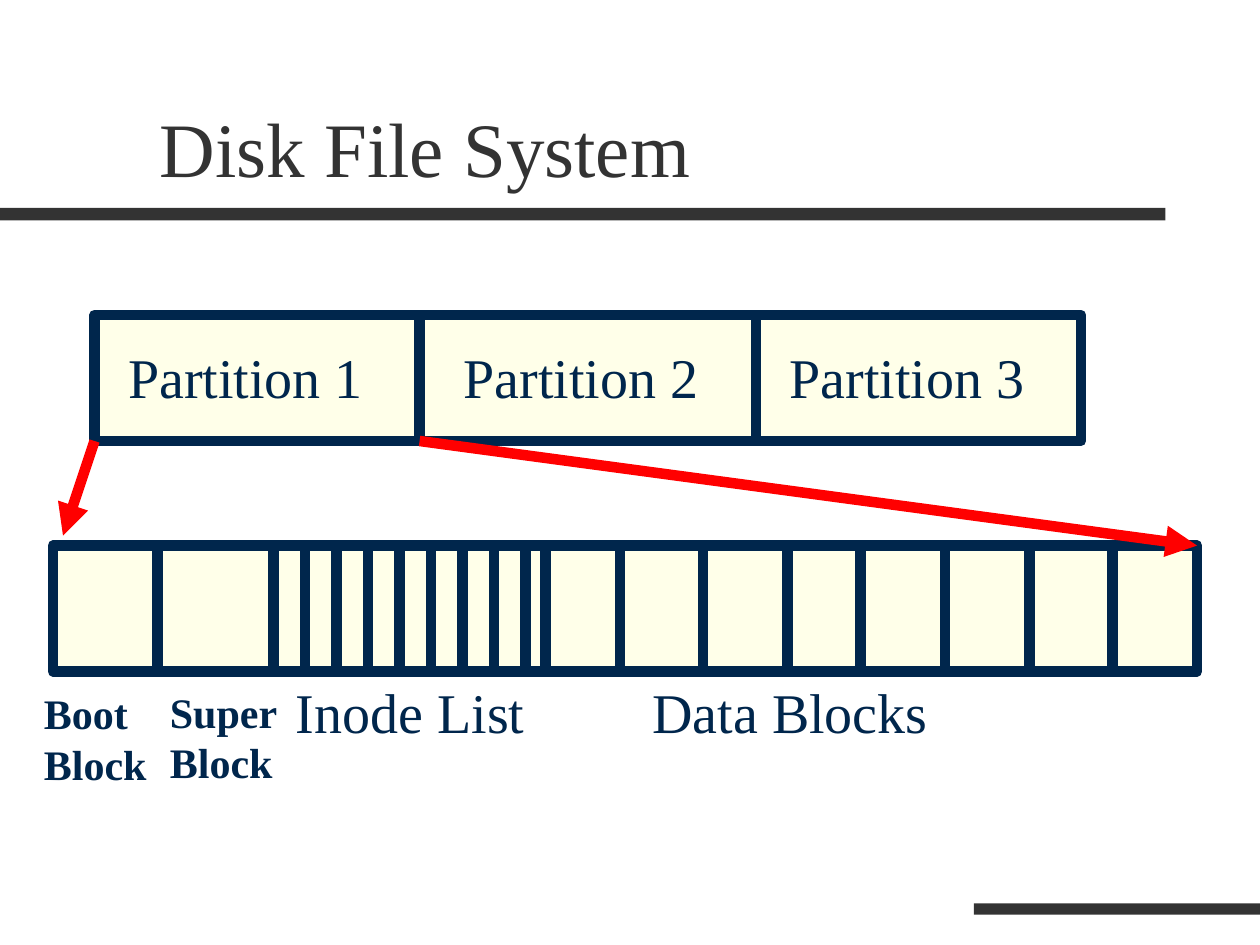
from pptx import Presentation
from pptx import util as u
from pptx.dml.color import RGBColor
from pptx.enum import shapes, text
from pptx.oxml.ns import qn
from lxml import etree

COLORS = {"bar": "333333", "navy": "00264C", "cream": "FFFFE9", "red": "FF0000"}


def color(name):
    return RGBColor.from_string(COLORS[name])


def write(box, words, size=32, ink="navy", bold=False, anchor="TOP"):
    """Put one paragraph of formatted text in a box."""
    frame = box.text_frame
    frame.word_wrap = True
    frame.vertical_anchor = getattr(text.MSO_ANCHOR, anchor)
    para = frame.paragraphs[0]
    span = para.add_run()
    span.text = words
    span.font.name = "Times New Roman"
    span.font.size = u.Pt(size)
    span.font.bold = bold
    span.font.color.rgb = color(ink)


class Painter:
    """Holds the line style and the current slide."""

    def __init__(self, page, line_width=6):
        self.page = page
        self.line_width = u.Pt(line_width)

    def rect(self, left, top, width, height, fill, line=None):
        shape = self.page.shapes.add_shape(
            shapes.MSO_SHAPE.RECTANGLE, *map(u.Inches, (left, top, width, height)))
        shape.shadow.inherit = False
        shape.fill.solid()
        shape.fill.fore_color.rgb = color(fill)
        if line:
            shape.line.color.rgb = color(line)
            shape.line.width = self.line_width
        else:
            shape.line.fill.background()

    def label(self, words, left, top, width, height, **style):
        box = self.page.shapes.add_textbox(*map(u.Inches, (left, top, width, height)))
        write(box, words, **style)

    def line(self, x1, y1, x2, y2, ink="navy", arrow=False):
        link = self.page.shapes.add_connector(
            shapes.MSO_CONNECTOR.STRAIGHT, *map(u.Inches, (x1, y1, x2, y2)))
        link.line.color.rgb = color(ink)
        link.line.width = self.line_width
        if arrow:
            etree.SubElement(link.line._get_or_add_ln(), qn("a:tailEnd"), type="triangle")
        etree.SubElement(link._element.spPr, qn("a:effectLst"))

    def strip(self, left, top, width, dividers, height=1):
        """Draw a framed band cut by vertical lines."""
        self.rect(left, top, width, height, "cream", line="navy")
        for x in dividers:
            self.line(x, top, x, top + height)


def main():
    deck = Presentation()
    deck.slide_width, deck.slide_height = u.Inches(10), u.Inches(7.5)
    painter = Painter(deck.slides.add_slide(deck.slide_layouts[6]))

    # Title and decorative bars
    painter.rect(0, 1.65, 9.25, 0.1, "bar")
    painter.rect(7.73, 7.17, 2.27, 0.09, "bar")
    painter.label("Disk File System", 1.17, 0.33, 8.5, 1.25,
                  size=44, ink="bar", anchor="BOTTOM")

    # Disk partitions
    painter.strip(0.75, 2.5, 7.83, [3.33, 6])
    for number, left in enumerate((0.92, 3.58, 6.17), start=1):
        painter.label(f"Partition {number}", left, 2.67, 2.33, 0.64)

    # Layout of one partition
    inodes = [2.17 + 0.25 * i for i in range(9)]
    data_blocks = [4.33, 4.92, 5.58, 6.25, 6.83, 7.5, 8.17, 8.83, 9.5]
    painter.strip(0.42, 4.33, 9.08, [1.25, *inodes, *data_blocks])

    # Arrows from the first partition to its layout
    painter.line(0.75, 3.5, 0.5, 4.25, ink="red", arrow=True)
    painter.line(3.33, 3.5, 9.5, 4.33, ink="red", arrow=True)

    # Captions under the layout
    painter.label("Inode List", 2.25, 5.33, 2.33, 0.64)
    painter.label("Data Blocks", 5.08, 5.33, 3, 0.64)
    painter.label("Boot Block", 0.25, 5.41, 1.42, 0.9, size=24, bold=True)
    painter.label("Super Block", 1.25, 5.4, 1.42, 0.9, size=24, bold=True)

    deck.save("out.pptx")


if __name__ == "__main__":
    main()
